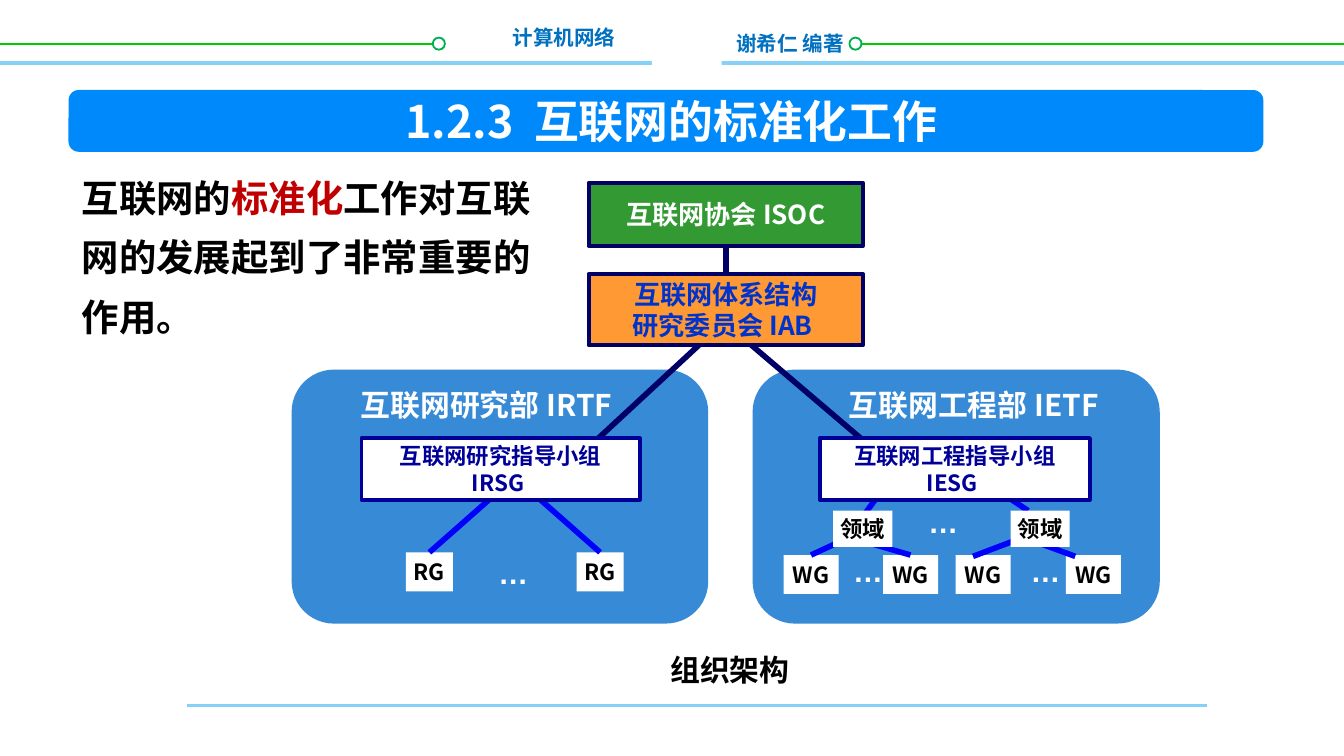
from lxml import etree
from pptx import Presentation
from pptx.dml.color import RGBColor
from pptx.enum.shapes import MSO_CONNECTOR, MSO_SHAPE
from pptx.enum.text import MSO_ANCHOR, PP_ALIGN
from pptx.oxml.ns import qn
from pptx.util import Inches, Pt

STRAIGHT = MSO_CONNECTOR.STRAIGHT
RECT, ROUNDED, OVAL = MSO_SHAPE.RECTANGLE, MSO_SHAPE.ROUNDED_RECTANGLE, MSO_SHAPE.OVAL
LEFT, CENTER, RIGHT = PP_ALIGN.LEFT, PP_ALIGN.CENTER, PP_ALIGN.RIGHT
TOP, MIDDLE = MSO_ANCHOR.TOP, MSO_ANCHOR.MIDDLE
TOP_SIDE, BOTTOM_SIDE = 0, 2

FONT = "Noto Sans CJK SC"
COLORS = {
    "white": "FFFFFF", "black": "000000", "red": "C00000",
    "rule green": "00CC00", "ring green": "00B050", "sky": "85D1F7",
    "header": "0070C0", "banner": "0089FA", "panel": "368AD6",
    "branch": "0000FF", "navy": "000066", "group": "000099",
    "orange": "FF9933", "green": "339933", "committee": "0033CC",
}


def rgb(name):
    return RGBColor.from_string(COLORS[name])


def write(shape, text, size=12, color="black", font=FONT, align=CENTER,
          anchor=MIDDLE, wrap=False, line_spacing=None):
    """Fill a shape with bold text; text is a string or a list of (text, color) spans."""
    frame = shape.text_frame
    frame.word_wrap = wrap
    frame.vertical_anchor = anchor
    spans = [(text, color)] if isinstance(text, str) else text
    para = frame.paragraphs[0]
    for content, span_color in spans:
        for number, line in enumerate(content.split("\n")):
            if number:
                para = frame.add_paragraph()
            para.alignment = align
            if line_spacing:
                para.line_spacing = Pt(line_spacing)
            span = para.add_run()
            span.text = line
            span.font.size = Pt(size)
            span.font.bold = True
            span.font.name = font
            span.font.color.rgb = rgb(span_color)
            east_asian = etree.SubElement(span.font._element, qn("a:ea"))
            east_asian.set("typeface", font)


def add_label(page, place, text, anchor=TOP, **style):
    box = page.shapes.add_textbox(*map(Inches, place))
    write(box, text, anchor=anchor, **style)


def add_box(page, place, fill="white", kind=RECT, line=None, line_width=1, text=None, **style):
    box = page.shapes.add_shape(kind, *map(Inches, place))
    box.shadow.inherit = False
    box.fill.solid()
    box.fill.fore_color.rgb = rgb(fill)
    if line:
        box.line.color.rgb = rgb(line)
        box.line.width = Pt(line_width)
    else:
        box.line.fill.background()
    if text:
        write(box, text, **style)
    return box


def add_line(page, start, end, color="branch", width=3):
    line = page.shapes.add_connector(STRAIGHT, *map(Inches, (*start, *end)))
    line.line.color.rgb = rgb(color)
    line.line.width = Pt(width)
    etree.SubElement(line._element.spPr, qn("a:effectLst"))
    return line


def add_branch(page, start, leaf):
    """Run a line from a point to the middle of a leaf box's top side."""
    line = add_line(page, start, start)
    line.end_connect(leaf, TOP_SIDE)


def add_frame(page):
    """Header, rules and title banner."""
    for start, end in ((0, 3.24), (6.32, 10)):
        add_line(page, (start, 0.33), (end, 0.33), "rule green", 1)
    for left in (3.22, 6.32):
        add_box(page, (left, 0.28, 0.09, 0.09), kind=OVAL, line="ring green")
    add_line(page, (1.39, 5.25), (8.98, 5.25), "sky", 1.5)
    add_line(page, (0, 0.47), (10, 0.47), "sky", 2)
    add_box(page, (4.85, 0.14, 0.52, 0.51))
    add_label(page, (5.38, 0.18, 1.16, 0.29), "谢希仁 编著", size=11, color="header",
              align=LEFT, wrap=True)
    add_label(page, (3.71, 0.14, 0.97, 0.29), "计算机网络", size=11, color="header", align=RIGHT)
    add_box(page, (0.51, 0.67, 8.89, 0.46), "banner", ROUNDED)
    add_label(page, (1.37, 0.7, 7.25, 0.4), "1.2.3  互联网的标准化工作", size=24,
              color="white", anchor=MIDDLE, wrap=True)


def add_divisions(page):
    """The two blue panels with their working units."""
    add_box(page, (5.6, 2.75, 3.03, 1.89), "panel", ROUNDED)
    add_box(page, (2.17, 2.75, 3.1, 1.89), "panel", ROUNDED)

    for left, start in ((3.02, 3.66), (4.29, 4)):
        unit = add_box(page, (left, 4.11, 0.35, 0.29), text="RG")
        add_branch(page, (start, 3.7), unit)

    first, second, third, fourth = [
        add_box(page, (left, 4.13, 0.41, 0.29), text="WG") for left in (5.83, 6.57, 7.11, 7.93)]
    add_branch(page, (6.25, 4.03), first)
    add_branch(page, (6.43, 4.03), second)
    add_line(page, (7.53, 4.03), (7.24, 4.14))
    add_line(page, (7.7, 4.03), (8, 4.14))
    add_line(page, (6.43, 3.83), (6.54, 3.68))
    add_line(page, (7.47, 3.68), (7.65, 3.8))
    for left in (6.2, 7.52):
        add_box(page, (left, 3.8, 0.44, 0.27), text="领域")

    for left, top in ((6.81, 3.7), (6.25, 4.06), (7.57, 4.06), (3.61, 4.08)):
        add_label(page, (left, top, 0.36, 0.31), "…", size=16, color="white",
                  font="Arial", align=LEFT)
    for left, width, name in ((2.42, 2.45, "互联网研究部 IRTF "), (6.1, 2.34, "互联网工程部 IETF ")):
        add_label(page, (left, 2.83, width, 0.37), name, size=16, color="white", wrap=True)


def add_leadership(page):
    """Governing bodies and steering groups."""
    add_line(page, (5.57, 2.55), (6.45, 3.3), "navy")
    add_line(page, (5.22, 2.55), (4.41, 3.3), "navy")
    committee = add_box(page, (4.38, 2.04, 2.04, 0.53), "orange", line="navy", line_width=2.25,
                        text="互联网体系结构\n研究委员会 IAB ", size=14, color="committee")
    society = add_box(page, (4.38, 1.36, 2.04, 0.47), "green", line="navy", line_width=2.25,
                      text="互联网协会 ISOC", size=14, color="white")
    link = add_line(page, (5.4, 1.83), (5.4, 2.04), "navy")
    link.begin_connect(society, BOTTOM_SIDE)
    link.end_connect(committee, TOP_SIDE)
    for left, width, name in ((2.69, 2.07, "互联网研究指导小组\nIRSG "),
                              (6.1, 2.01, "互联网工程指导小组\nIESG ")):
        add_box(page, (left, 3.26, width, 0.46), line="group", line_width=2,
                text=name, color="group")


def main():
    deck = Presentation()
    deck.slide_width = Inches(10)
    deck.slide_height = Inches(10) * 9 // 16
    page = deck.slides.add_slide(deck.slide_layouts[6])
    add_frame(page)
    add_divisions(page)
    add_leadership(page)
    statement = [("互联网的", "black"), ("标准化", "red"),
                 ("工作对互联网的发展起到了非常重要的作用。", "black")]
    add_label(page, (0.51, 1.14, 3.57, 3.47), statement, size=20, align=LEFT,
              wrap=True, line_spacing=32)
    add_label(page, (3.72, 4.8, 3.42, 0.37), "组织架构", size=16, font="Calibri", wrap=True)
    deck.save("out.pptx")


if __name__ == "__main__":
    main()
